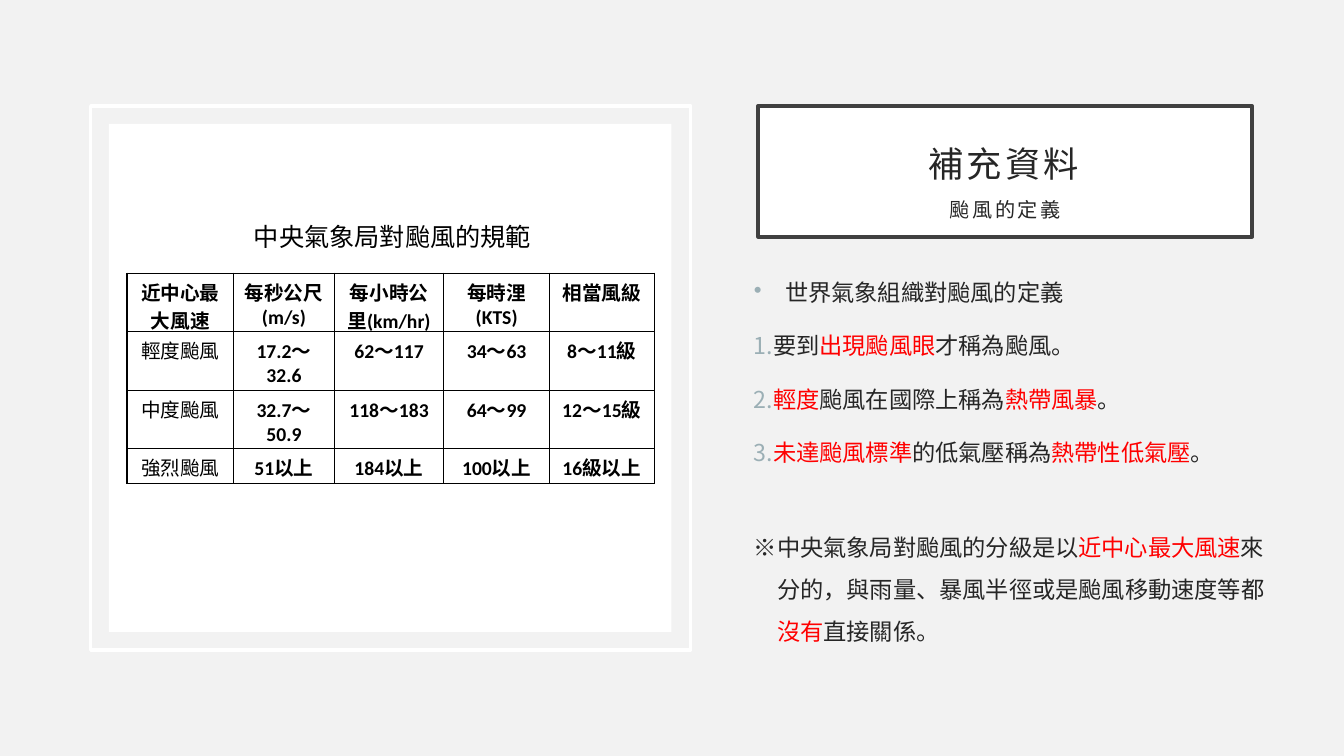
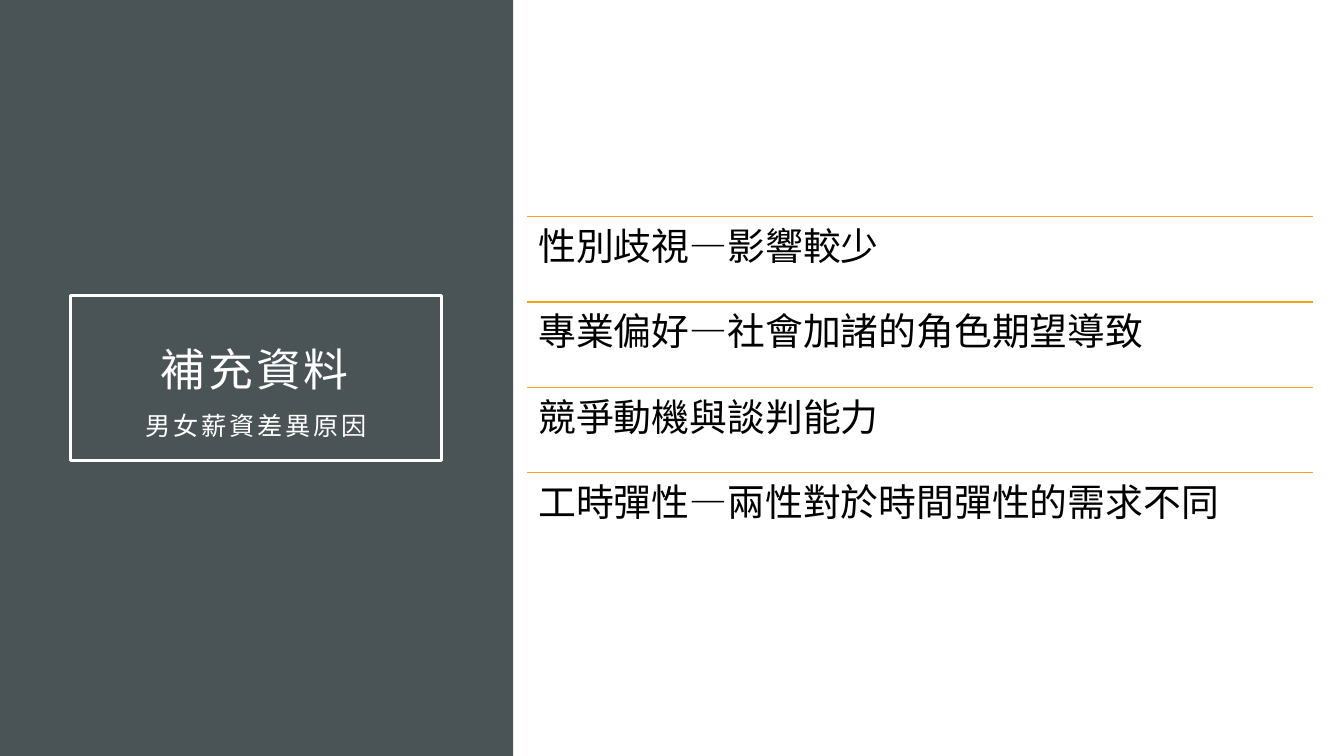
from dataclasses import dataclass

from lxml.etree import SubElement
from pptx import Presentation
from pptx.dml.color import RGBColor
from pptx.enum.shapes import MSO_CONNECTOR as Connector, MSO_SHAPE as Preset
from pptx.enum.text import MSO_ANCHOR as Anchor, PP_ALIGN as Align
from pptx.oxml.ns import qn
from pptx.util import Inches, Pt


@dataclass(frozen=True)
class Theme:
    latin: str = "Calibri"
    asian: str = "Noto Sans CJK TC"
    paper: str = "F2F2F2"
    white: str = "FFFFFF"
    black: str = "000000"
    ink: str = "262626"
    border: str = "404040"
    slate: str = "4A5356"
    bullet: str = "9BAFB5"
    red: str = "FF0000"
    gold: str = "F6A21D"
    cell_size: float = 14
    body_size: float = 16.6
    caption_size: float = 18
    reason_size: float = 27
    frame_width: float = 2.5
    rule_width: float = 1


theme = Theme()
presentation = Presentation()
presentation.slide_width = Inches(13.33)
presentation.slide_height = Inches(7.5)


def place(left, top, width, height):
    across = presentation.slide_width / 100
    down = presentation.slide_height / 100
    return [int(left * across), int(top * down), int(width * across), int(height * down)]


def write(frame, text, size, color=theme.black, accent_size=None, accent_color=None,
          font=theme.latin, bold=False, spacing=0, align=Align.LEFT, line=None,
          before=0, after=0, hang=0, bullet=None):
    frame.word_wrap = True
    paragraph = frame.paragraphs[0]
    if paragraph.runs:
        paragraph = frame.add_paragraph()
    paragraph.alignment = align
    paragraph.line_spacing = line
    paragraph.space_before = Pt(before)
    paragraph.space_after = Pt(after)
    properties = paragraph._p.get_or_add_pPr()
    properties.set("marL", str(Inches(hang)))
    properties.set("indent", str(-Inches(hang)))
    if bullet:
        bullet_color = SubElement(properties, qn("a:buClr"))
        SubElement(bullet_color, qn("a:srgbClr"), val=theme.bullet)
        if bullet == "number":
            SubElement(properties, qn("a:buAutoNum"), type="arabicPeriod")
        else:
            SubElement(properties, qn("a:buChar"), char=bullet)
    for row, words in enumerate(text.split("\n")):
        if row:
            paragraph.add_line_break()
        for index, part in enumerate(words.split("|")):
            if not part:
                continue
            accent = index % 2 == 1
            run = paragraph.add_run()
            run.text = part
            run.font.size = Pt(accent_size if accent and accent_size else size)
            run.font.bold = bold
            run.font.color.rgb = RGBColor.from_string(
                accent_color if accent and accent_color else color)
            run.font.name = font
            run_properties = run.font._element
            run_properties.set("spc", str(spacing * 100))
            SubElement(run_properties, qn("a:ea"), typeface=theme.asian)


typhoon, salary = [presentation.slides.add_slide(presentation.slide_layouts[6]) for _ in range(2)]
for slide, background in ((typhoon, theme.paper), (salary, theme.white)):
    slide.background.fill.solid()
    slide.background.fill.fore_color.rgb = RGBColor.from_string(background)

boxes = [
    (typhoon, (6.75, 14, 44.64, 72), None, theme.white, None),
    (typhoon, (8.1, 16.4, 41.86, 67.2), theme.white, None, None),
    (typhoon, (56.41, 14, 36.76, 17.33), theme.white, theme.border,
     ("補充資料\n|颱風的定義", 25.2, 14.4, theme.ink, theme.latin)),
    (salary, (0, 0, 38.18, 100), theme.slate, None, None),
    (salary, (5.25, 39.07, 27.61, 21.87), None, theme.white,
     ("補充資料\n|男女薪資差異原因", 32, 18, theme.white, theme.asian)),
]
for slide, area, fill, outline, title in boxes:
    shape = slide.shapes.add_shape(Preset.RECTANGLE, *place(*area))
    shape.shadow.inherit = False
    if fill:
        shape.fill.solid()
        shape.fill.fore_color.rgb = RGBColor.from_string(fill)
    else:
        shape.fill.background()
    if outline:
        shape.line.color.rgb = RGBColor.from_string(outline)
        shape.line.width = Pt(theme.frame_width)
    else:
        shape.line.fill.background()
    if title:
        text, size, subtitle_size, color, font = title
        frame = shape.text_frame
        frame.vertical_anchor = Anchor.MIDDLE
        frame.margin_top = frame.margin_bottom = 0
        write(frame, text, size, color, accent_size=subtitle_size, font=font,
              spacing=2, align=Align.CENTER, line=1.5)

caption = typhoon.shapes.add_textbox(*place(18.15, 28.67, 23.86, 5.33))
write(caption.text_frame, "中央氣象局對颱風的規範", theme.caption_size)

grades = [
    ("近中心最大風速", "每秒公尺(m/s)", "每小時公里(km/hr)", "每時浬(KTS)", "相當風級"),
    ("輕度颱風", "17.2～32.6", "62～117", "34～63", "8～11級"),
    ("中度颱風", "32.7～50.9", "118～183", "64～99", "12～15級"),
    ("強烈颱風", "51以上", "184以上", "100以上", "16級以上"),
]
column_shares = (1.06, 1, 1.09, 1.05, 1.04)
row_shares = (5, 5, 5, 3)
area = place(9.45, 36.13, 39.23, 27.87)
table = typhoon.shapes.add_table(len(grades), len(column_shares), *area).table
table.first_row = table.horz_banding = False
for column, share in zip(table.columns, column_shares):
    column.width = int(area[2] * share / sum(column_shares))
for row, share in zip(table.rows, row_shares):
    row.height = int(area[3] * share / sum(row_shares))
for row_index, values in enumerate(grades):
    for column_index, value in enumerate(values):
        cell = table.cell(row_index, column_index)
        cell.margin_left = cell.margin_right = Inches(0.08)
        cell.margin_top = cell.margin_bottom = Inches(0.04)
        for side in ("lnL", "lnR", "lnT", "lnB"):
            edge = SubElement(cell._tc.get_or_add_tcPr(), qn(f"a:{side}"),
                              w=str(Pt(theme.rule_width)))
            edge_fill = SubElement(edge, qn("a:solidFill"))
            SubElement(edge_fill, qn("a:srgbClr"), val=theme.black)
        cell.fill.solid()
        cell.fill.fore_color.rgb = RGBColor.from_string(theme.white)
        write(cell.text_frame, value, theme.cell_size, align=Align.CENTER,
              bold=row_index == 0 or column_index > 0)

definitions = [
    ("世界氣象組織對颱風的定義", "•", 0.31, 0),
    ("要到|出現颱風眼|才稱為颱風。", "number", 0.18, 8),
    ("|輕度|颱風在國際上稱為|熱帶風暴|。", "number", 0.18, 8),
    ("|未達颱風標準|的低氣壓稱為|熱帶性低氣壓|。", "number", 0.18, 8),
    ("※中央氣象局對颱風的分級是以|近中心最大風速|來\n"
     "分的，與雨量、暴風半徑或是颱風移動速度等都\n|沒有|直接關係。", None, 0.23, 38),
]
body = typhoon.shapes.add_textbox(*place(55.36, 34.33, 42.76, 51.6))
for text, bullet, hang, before in definitions:
    write(body.text_frame, text, theme.body_size, theme.ink, accent_color=theme.red,
          line=Pt(30), before=before, hang=hang, bullet=bullet)

reasons = ("性別歧視—影響較少", "專業偏好—社會加諸的角色期望導致",
           "競爭動機與談判能力", "工時彈性—兩性對於時間彈性的需求不同")
reason_height = 11.29
for index, reason in enumerate(reasons):
    left, top, width, height = place(39.23, 28.67 + index * reason_height, 58.44, reason_height)
    rule = salary.shapes.add_connector(Connector.STRAIGHT, left, top, left + width, top)
    rule.line.color.rgb = RGBColor.from_string(theme.gold)
    rule.line.width = Pt(theme.rule_width)
    SubElement(rule._element.spPr, qn("a:effectLst"))
    frame = salary.shapes.add_textbox(left, top, width, height).text_frame
    frame.margin_left = frame.margin_right = Inches(0.11)
    frame.margin_top = frame.margin_bottom = Inches(0.11)
    write(frame, reason, theme.reason_size, line=0.9)

presentation.save("out.pptx")
